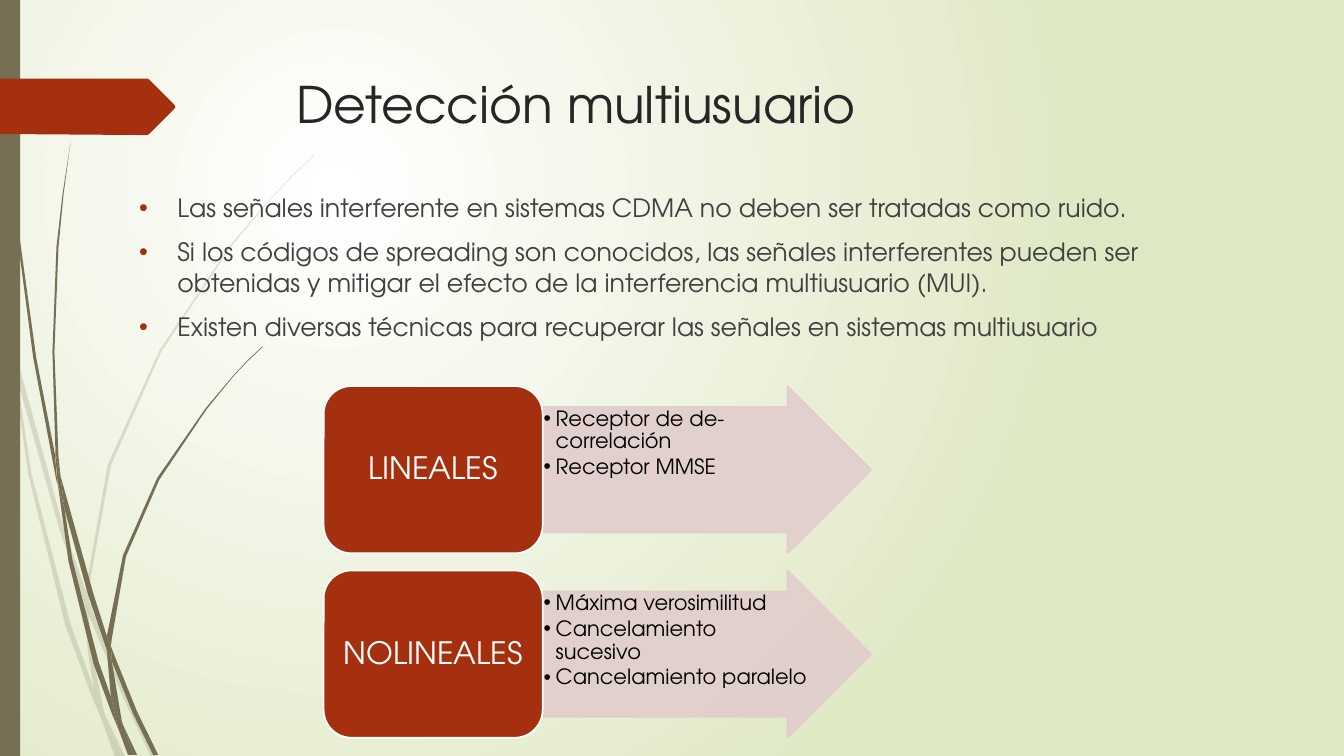
from lxml import etree
from pptx import Presentation
from pptx import util as u
from pptx.dml import color
from pptx.enum import shapes, text
from pptx.oxml import ns

FONT = "TeX Gyre Adventor"
RUST, OLIVE, PINK, WHITE = "A53010", "766F54", "E1CDCC", "FFFFFF"

BACK = [
    "0.11,3.5 0.09,3.22 0,2.82 0,2.99 0.1,3.44",
    "0.58,5.22 0.84,5.99 0.85,5.86 0.62,5.2 0.14,3.45 0.17,3.76",
    "0.92,6.07 0.88,5.96 0.88,6.1 1.23,6.94 1.5,7.51 1.55,7.51 1.27,6.92",
    "1.19,7.51 1.24,7.51 1.05,7.11",
    "0.93,6.83 0.7,6.19 0.31,4.69 0.17,3.76 0.11,3.5 0.28,4.7 0.65,6.21 0.92,6.93 "
    "1.01,7.14 0.99,7.07",
    "0.84,5.99 0.87,6.46 0.93,6.83 0.96,6.92 1.05,7.11 1.03,7.06 0.91,6.46 0.88,6.1 "
    "0.88,6.08",
    "0.88,5.84 1.1,4.62 1.6,3.49 2.29,2.45 2.68,1.98 2.9,1.75 3.12,1.54 3.12,1.53 "
    "2.89,1.75 2.68,1.97 2.28,2.44 1.58,3.48 1.07,4.61 0.85,5.84 0.85,5.86 0.88,5.96",
    "1.01,7.14 1.14,7.51 1.19,7.51",
    "0.88,6.08 0.88,6.1 0.88,5.96 0.85,5.86 0.84,5.99",
    "0.96,6.92 0.93,6.83 0.99,7.07 1.01,7.14 1.19,7.51 1.05,7.11",
]
FRONT = [
    "0.07,1.1 0.17,2.33 0.33,3.55 0.56,4.77 0.57,4.81 0.55,4.57 0.55,4.53 0.36,3.55 "
    "0.19,2.32 0.08,1.09 0.05,0.48 0.04,0 0.03,0 0.04,0.48",
    "0.88,5.92 1.06,6.45 1.06,6.33 1.06,6.31 0.93,5.9 0.6,4.72 0.64,5.05",
    "1.13,6.49 1.1,6.41 1.11,6.56 1.32,7.08 1.52,7.49 1.57,7.49 1.36,7.06",
    "1.1,6.91 0.98,6.57 0.72,5.56 0.64,5.05 0.57,4.77 0.68,5.57 0.93,6.59 1.11,7.08 "
    "1.17,7.22 1.16,7.17",
    "0.6,4.72 0.58,4.53 0.54,3.49 0.58,2.45 0.63,1.93 0.7,1.41 0.62,1.93 0.56,2.45 "
    "0.52,3.49 0.55,4.49",
    "1.33,7.49 1.36,7.49 1.22,7.19",
    "0.57,4.77 0.64,5.05 0.6,4.72 0.55,4.49 0.55,4.53",
    "1.11,6.33 1.25,5.52 1.58,4.76 2.05,4.06 2.31,3.74 2.45,3.59 2.61,3.44 2.6,3.44 "
    "2.45,3.58 2.31,3.73 2.04,4.05 1.56,4.74 1.22,5.51 1.06,6.31 1.1,6.41",
    "1.17,7.22 1.27,7.49 1.31,7.49",
    "1.06,6.45 1.1,6.91 1.16,7.06 1.22,7.19 1.21,7.16 1.11,6.56 1.09,6.51",
    "1.06,6.45 1.09,6.51 1.11,6.56 1.1,6.41 1.06,6.31 1.06,6.33",
    "1.16,7.06 1.1,6.91 1.16,7.17 1.17,7.22 1.3,7.49 1.33,7.49 1.22,7.19",
]
FLAG = ("0,0 1.46,0 1.48,0.01 1.73,0.26 1.74,0.28 1.73,0.3 1.48,0.55 1.46,0.56 "
        "1.36,0.56 0,0.55")


def rgb(code):
    return color.RGBColor.from_string(code)


def fade(fill, alpha):
    tint = fill._xPr.find(".//" + ns.qn("a:srgbClr"))
    etree.SubElement(tint, ns.qn("a:alpha"), val=str(alpha * 1000))


def paint(shape, fill, line=None, alpha=100):
    shape.shadow.inherit = False
    shape.fill.solid()
    shape.fill.fore_color.rgb = rgb(fill)
    if line:
        shape.line.color.rgb = rgb(line)
        shape.line.width = u.Pt(1.25)
    else:
        shape.line.fill.background()
    if alpha < 100:
        fade(shape.fill, alpha)
        if line:
            fade(shape.line.fill, alpha)


def write(shape, lines, size, ink, align="LEFT", anchor="TOP", inset=(0.1, 0.05),
          hang=0, dot=None, before=0, after=0, space=1):
    frame = shape.text_frame
    frame.word_wrap = True
    frame.auto_size = text.MSO_AUTO_SIZE.NONE
    frame.vertical_anchor = text.MSO_ANCHOR[anchor]
    frame.margin_left = frame.margin_right = u.Inches(inset[0])
    frame.margin_top = frame.margin_bottom = u.Inches(inset[1])
    for i, line in enumerate(lines):
        para = frame.paragraphs[0] if i == 0 else frame.add_paragraph()
        para.alignment = text.PP_ALIGN[align]
        para.space_before, para.space_after = u.Pt(before), u.Pt(after)
        para.line_spacing = space
        run = para.add_run()
        run.text = line
        run.font.name, run.font.size = FONT, u.Pt(size)
        run.font.color.rgb = rgb(ink)
        if dot:
            props = para._p.get_or_add_pPr()
            props.set("marL", str(u.Inches(hang)))
            props.set("indent", str(-u.Inches(hang)))
            tint = etree.SubElement(props, ns.qn("a:buClr"))
            etree.SubElement(tint, ns.qn("a:srgbClr"), val=dot)
            etree.SubElement(props, ns.qn("a:buFont"), typeface="Arial")
            etree.SubElement(props, ns.qn("a:buChar"), char="•")


def place(shape, x, y, w, h):
    shape.left, shape.top = u.Inches(x), u.Inches(y)
    shape.width, shape.height = u.Inches(w), u.Inches(h)


def add(kit, kind, x, y, w, h):
    return kit.add_shape(shapes.MSO_SHAPE[kind], *map(u.Inches, (x, y, w, h)))


def trace(kit, edge, x, y):
    pairs = [map(float, pair.split(",")) for pair in edge.split()]
    dots = [(u.Inches(x + a), u.Inches(y + b)) for a, b in pairs]
    pen = kit.build_freeform(*dots[0])
    pen.add_line_segments(dots[1:], close=True)
    return pen.convert_to_shape()


def grass(kit, x, y, blades, alpha):
    group = kit.add_group_shape()
    for edge in blades:
        paint(trace(group.shapes, edge, x, y), OLIVE, alpha=alpha)


def ground(slide):
    fill = slide.background.fill
    fill.gradient()
    for stop, tone in zip(fill.gradient_stops, (WHITE, "DFE8C4")):
        stop.color.rgb = rgb(tone)
    grad = slide.element.find(".//" + ns.qn("a:gradFill"))
    grad.remove(grad.find(ns.qn("a:lin")))
    way = etree.SubElement(grad, ns.qn("a:path"), {"path": "circle"})
    etree.SubElement(way, ns.qn("a:fillToRect"), l="50000", t="50000", r="100000", b="100000")


def head(slide, x, y, w, h):
    title = slide.shapes.title
    slide.shapes.element.append(title.element)
    place(title, x, y, w, h)
    write(title, ["Detección multiusuario"], 36, "262626")


def points(slide, x, y, w, h):
    body = slide.placeholders[1]
    slide.shapes.element.append(body.element)
    place(body, x, y, w, h)
    write(body, [
        "Las señales interferente en sistemas CDMA no deben ser tratadas como ruido.",
        "Si los códigos de spreading son conocidos, las señales interferentes pueden ser "
        "obtenidas y mitigar el efecto de la interferencia multiusuario (MUI).",
        "Existen diversas técnicas para recuperar las señales en sistemas multiusuario",
    ], 18, "404040", hang=0.38, dot=RUST, before=10)


def branch(kit, x, y, w, h, name, items):
    side = w * 0.4
    arrow = add(kit, "RIGHT_ARROW", x + side, y, w - side, h)
    arrow.adjustments[0], arrow.adjustments[1] = 0.75, 0.5
    paint(arrow, PINK, PINK, 90)
    write(arrow, items, 15, "000000", inset=(0.01, 0.01), hang=0.12,
          dot="000000", after=2.25, space=0.9)
    card = add(kit, "ROUNDED_RECTANGLE", x, y, side, h)
    paint(card, RUST, WHITE)
    write(card, [name], 22, WHITE, "CENTER", "MIDDLE", inset=(0.09, 0.05), space=0.9)


def main():
    deck = Presentation()
    deck.slide_width, deck.slide_height = u.Inches(13.33), u.Inches(7.5)
    slide = deck.slides.add_slide(deck.slide_layouts[1])
    kit = slide.shapes
    ground(slide)
    grass(kit, 0, 0, BACK, 20)
    grass(kit, 0, 0, FRONT, 100)
    paint(add(kit, "RECTANGLE", 0, 0, 0.2, 7.5), OLIVE)
    paint(trace(kit, FLAG, 0, 0.78), RUST)
    head(slide, 2.84, 0.68, 9.75, 1.4)
    points(slide, 1.28, 1.86, 11.13, 3.93)
    group = kit.add_group_shape()
    rows = [
        ("LINEALES", ["Receptor de de-correlación", "Receptor MMSE"]),
        ("NOLINEALES", ["Máxima verosimilitud", "Cancelamiento sucesivo",
                        "Cancelamiento paralelo"]),
    ]
    for i, (name, items) in enumerate(rows):
        branch(group.shapes, 3.21, 3.83 + 1.83 * i, 5.43, 1.66, name, items)
    deck.save("out.pptx")


if __name__ == "__main__":
    main()
